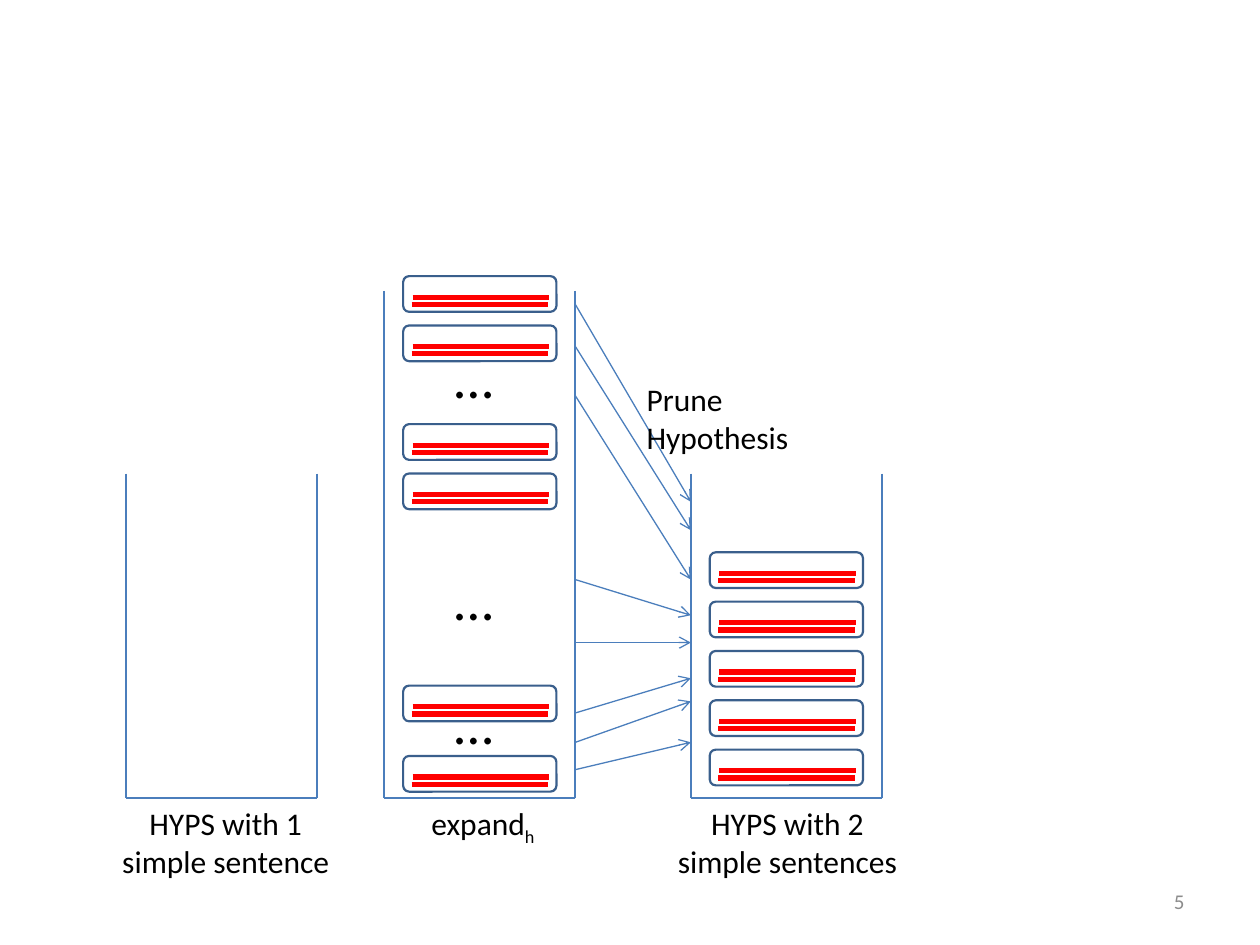
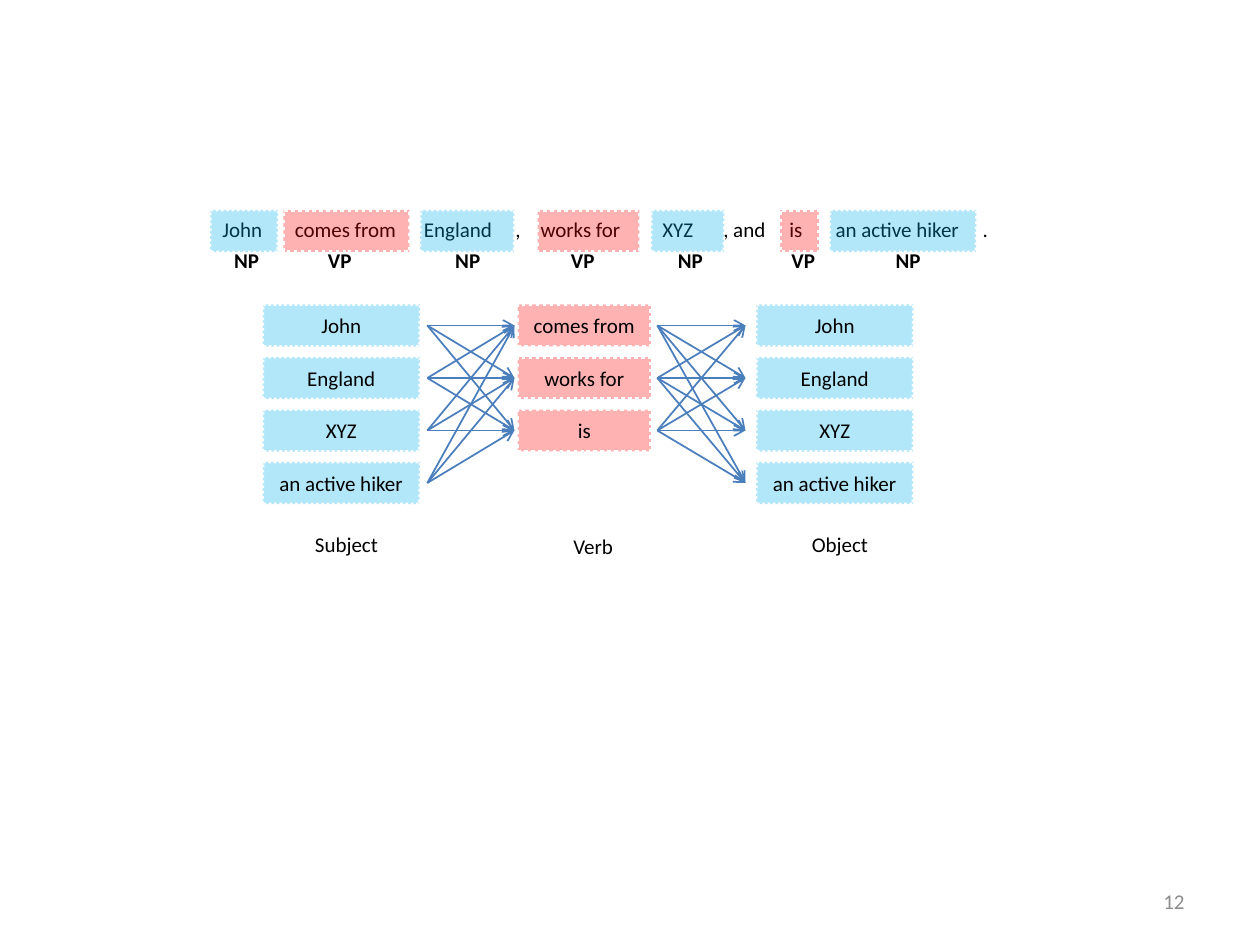
from itertools import product

from lxml import etree
from pptx import Presentation
from pptx import util as u
from pptx.dml.color import RGBColor
from pptx.enum import dml, shapes, text
from pptx.oxml import ns

SCALE = 7620
FONT = "Calibri"
BLACK, WHITE, GREY = "000000", "FFFFFF", "8C8C8C"
LINE_BLUE, CARD_BLUE, RED = "4B7EBC", "3A5F8C", "FF0000"
NOUN_BLUE = "00B0F0"
LEFT, CENTER, RIGHT = text.PP_ALIGN.LEFT, text.PP_ALIGN.CENTER, text.PP_ALIGN.RIGHT


def px(length):
    return u.Emu(length * SCALE)


def color(value):
    return RGBColor.from_string(value)


def add_xml(parent, tag, **attributes):
    return etree.SubElement(parent, ns.qn(tag), attributes)


class Deck:
    def __init__(self):
        self.presentation = Presentation()
        self.presentation.slide_width = px(1200)
        self.presentation.slide_height = px(900)
        self.slide = None

    def new_slide(self, number):
        self.slide = self.presentation.slides.add_slide(self.presentation.slide_layouts[6])
        self.text(860, 834, 280, 48, number, align=RIGHT, fill=GREY,
                  anchor=text.MSO_ANCHOR.MIDDLE)

    def fill_paragraph(self, paragraph, words, size, align, fill=BLACK, bold=False):
        paragraph.alignment = align
        paragraph.add_run().text = words
        font = paragraph.font
        font.name, font.size, font.bold = FONT, u.Pt(size), bold
        font.color.rgb = color(fill)

    def text(self, x, y, width, height, words, size=12, align=CENTER, fill=BLACK,
             bold=False, anchor=text.MSO_ANCHOR.TOP, subscript="", tabs=()):
        box = self.slide.shapes.add_textbox(px(x), px(y), px(width), px(height))
        frame = box.text_frame
        frame.word_wrap = True
        frame.vertical_anchor = anchor
        paragraph = frame.paragraphs[0]
        if tabs:
            tab_list = add_xml(paragraph._p.get_or_add_pPr(), "a:tabLst")
            for stop in tabs:
                add_xml(tab_list, "a:tab", pos=str(px(stop)), algn="l")
        self.fill_paragraph(paragraph, words, size, align, fill, bold)
        if subscript:
            run = paragraph.add_run()
            run.text = subscript
            run._r.get_or_add_rPr().set("baseline", "-25000")

    def line(self, x1, y1, x2, y2, stroke=LINE_BLUE, weight=1.25, arrow=False):
        connector = self.slide.shapes.add_connector(
            shapes.MSO_CONNECTOR.STRAIGHT, px(x1), px(y1), px(x2), px(y2))
        connector.line.color.rgb = color(stroke)
        connector.line.width = u.Pt(weight)
        if arrow:
            add_xml(connector.line._get_or_add_ln(), "a:tailEnd", type="arrow")
        add_xml(connector._element.spPr, "a:effectLst")

    def shape(self, kind, x, y, width, height, fill, stroke, weight):
        shape = self.slide.shapes.add_shape(kind, px(x), px(y), px(width), px(height))
        shape.shadow.inherit = False
        shape.fill.solid()
        shape.fill.fore_color.rgb = color(fill)
        shape.line.color.rgb = color(stroke)
        shape.line.width = u.Pt(weight)
        return shape

    def bin(self, x, top, width=182, bottom=760):
        self.line(x, top, x, bottom)
        self.line(x + width, top, x + width, bottom)
        self.line(x + width, bottom, x, bottom)

    def card(self, x, y):
        self.shape(shapes.MSO_SHAPE.ROUNDED_RECTANGLE, x, y, 146, 34, WHITE, CARD_BLUE, 1.25)
        for indent, drop in ((9, 20), (8, 27)):
            self.line(x + indent, y + drop, x + indent + 130, y + drop, RED, 3)

    def chip(self, x, y, width, noun, words=""):
        if noun:
            shape = self.shape(shapes.MSO_SHAPE.PARALLELOGRAM, x, y, width, 40,
                               NOUN_BLUE, WHITE, 1.5)
            shape.adjustments[0] = 0.012
        else:
            shape = self.shape(shapes.MSO_SHAPE.RECTANGLE, x, y, width, 40, RED, WHITE, 2)
        shape.line.dash_style = dml.MSO_LINE.ROUND_DOT
        fill_color = shape._element.spPr.find(ns.qn("a:solidFill"))[0]
        add_xml(fill_color, "a:alpha", val="30000")
        if words:
            shape.text_frame.word_wrap = False
            shape.text_frame.vertical_anchor = text.MSO_ANCHOR.MIDDLE
            self.fill_paragraph(shape.text_frame.paragraphs[0], words, 12, CENTER)


def build_pruning(deck):
    deck.new_slide("5")
    deck.text(90, 760, 250, 85, "HYPS with 1 simple sentence", 18)
    deck.text(380, 760, 160, 48, "expand", 18, subscript="h")
    deck.text(630, 760, 240, 85, "HYPS with 2 simple sentences", 18)

    for x, top in ((120, 451), (366, 277), (658, 451)):
        deck.bin(x, top)
    for y in (263, 310, 404, 451, 653, 720):
        deck.card(384, y)
    for y in range(526, 715, 47):
        deck.card(676, y)
    for y in (320, 532, 650):
        deck.text(421, y, 101, 52, "…", 32, LEFT)

    for start, end in ((290, 478), (330, 505), (377, 552), (552, 586),
                       (612, 612), (679, 646), (707, 668), (733, 707)):
        deck.line(548, start, 658, end, weight=0.75, arrow=True)
    deck.text(604, 356, 176, 85, "Prune Hypothesis", 18, LEFT)


def build_recombination(deck):
    deck.new_slide("12")
    sentence = ("John", "comes from", "England", ",", "works for", "XYZ", ", and", "is",
                "an active hiker", ".")
    deck.text(200, 200, 940, 36, "\t".join(sentence), align=LEFT,
              tabs=(69, 192, 279, 303, 419, 477, 540, 584, 724))

    for x, width, tag, tag_x, tag_width in (
            (200, 65, "NP", 210, 50), (270, 120, "VP", 270, 107),
            (400, 90, "NP", 419, 53), (512, 97, "VP", 512, 86),
            (620, 70, "NP", 630, 55), (743, 37, "VP", 740, 50),
            (790, 140, "NP", 810, 110)):
        deck.chip(x, 200, width, tag == "NP")
        deck.text(tag_x, 230, tag_width, 36, tag, bold=True)

    nouns = ("John", "England", "XYZ", "an active hiker")
    verbs = ("comes from", "works for", "is")
    row_tops = [290 + 50 * row for row in range(len(nouns))]
    noun_rows = [top + 20 for top in row_tops]
    verb_rows = noun_rows[:len(verbs)]
    for x1, x2, starts, ends in ((407, 490, noun_rows, verb_rows),
                                 (626, 710, verb_rows, noun_rows)):
        for start, end in product(starts, ends):
            deck.line(x1, start, x2, end, weight=1, arrow=True)

    for x, width, words, label, label_x, label_y, label_width in (
            (250, 150, nouns, "Subject", 240, 500, 180),
            (493, 127, verbs, "Verb", 510, 502, 110),
            (720, 150, nouns, "Object", 710, 500, 180)):
        for top, word in zip(row_tops, words):
            deck.chip(x, top, width, words is nouns, word)
        deck.text(label_x, label_y, label_width, 36, label)


def main():
    deck = Deck()
    build_pruning(deck)
    build_recombination(deck)
    deck.presentation.save("out.pptx")


if __name__ == "__main__":
    main()
